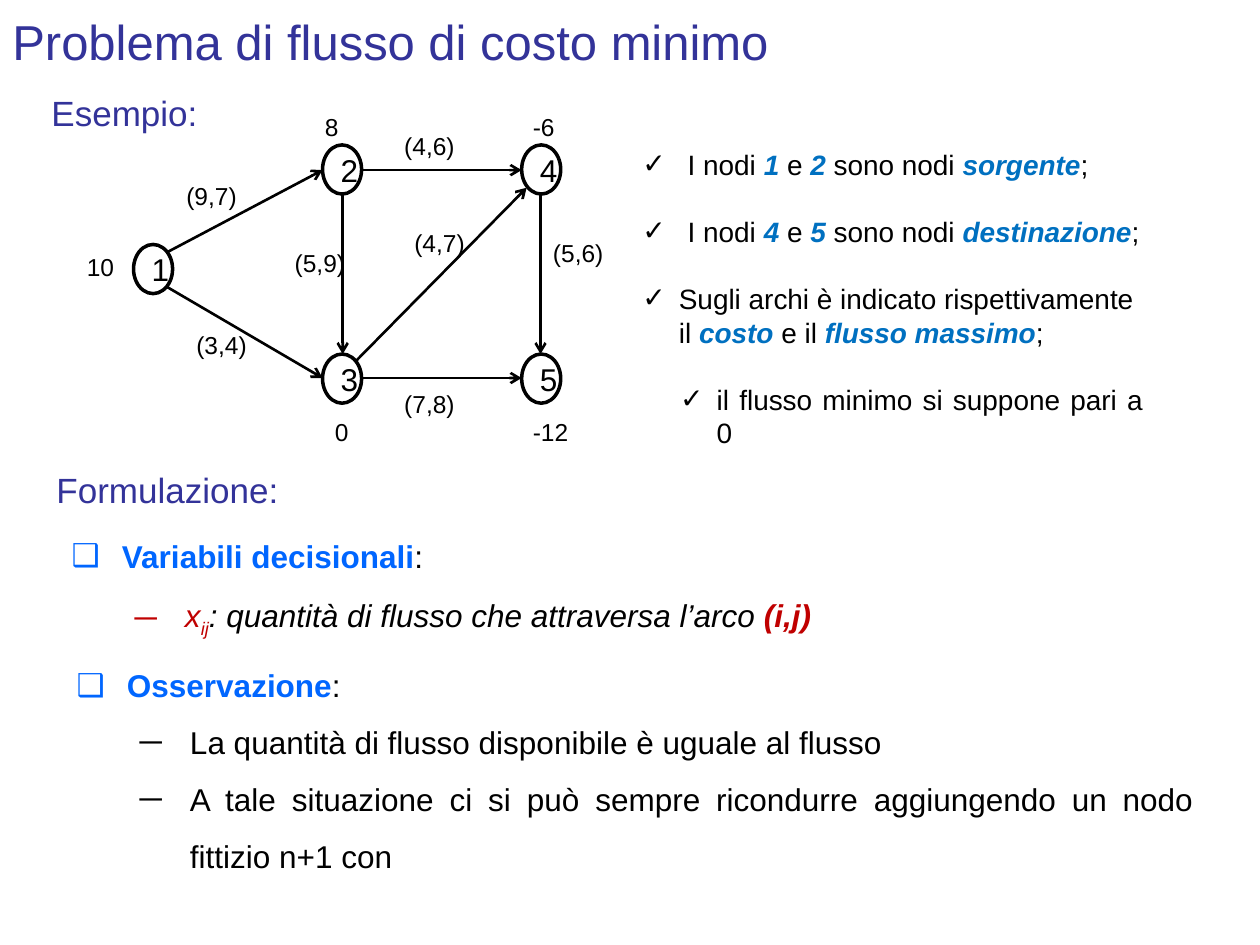
"""Build a slide on the minimum cost flow problem."""
from dataclasses import dataclass
from typing import NamedTuple

from lxml.etree import SubElement as Sub
from pptx import Presentation as Deck
from pptx.dml.color import RGBColor as Color
from pptx.enum.shapes import MSO_CONNECTOR as Link, MSO_SHAPE as Form
from pptx.enum.text import MSO_ANCHOR as Anchor, PP_ALIGN as Align
from pptx.oxml.ns import qn
from pptx.util import Inches, Pt


@dataclass(frozen=True)
class Theme:
    font: str = "Arial"
    ink: str = "000000"
    paper: str = "FFFFFF"
    head: str = "333399"
    key: str = "0070C0"
    topic: str = "0066FF"
    red: str = "C00000"
    title: int = 28
    sub: int = 20
    body: int = 18
    note: int = 16
    label: int = 14


T = Theme()


class Run(NamedTuple):
    text: str
    color: str = T.ink
    bold: bool = False
    slant: bool = False
    base: int = 0


class Item(NamedTuple):
    runs: list
    mark: str
    left: float
    hang: float
    level: int = 0
    align: Align = Align.JUSTIFY


class Node(NamedTuple):
    name: str
    x: float
    y: float


class Arc(NamedTuple):
    x1: float
    y1: float
    x2: float
    y2: float


class Label(NamedTuple):
    text: str
    x: float
    y: float


def style(run, size: int, look: Run) -> None:
    font = run.font
    font.name, font.size = T.font, Pt(size)
    font.bold, font.italic = look.bold, look.slant
    font.color.rgb = Color.from_string(look.color)
    if look.base:
        run._r.get_or_add_rPr().set("baseline", str(look.base * 1000))


def frame(slide, x: float, y: float, w: float, h: float):
    box = slide.shapes.add_textbox(Inches(x), Inches(y), Inches(w), Inches(h))
    box.text_frame.word_wrap = True
    return box.text_frame


def write(slide, text: str, x: float, y: float, w: float, h: float,
          size: int, color: str = T.ink):
    tf = frame(slide, x, y, w, h)
    tf.text = text
    style(tf.paragraphs[0].runs[0], size, Run(text, color))
    return tf


def draw_list(slide, items: list, x: float, y: float, w: float, h: float,
              size: int, line: float = 1, gap: float = 0) -> None:
    tf = frame(slide, x, y, w, h)
    for n, item in enumerate(items):
        para = tf.add_paragraph() if n else tf.paragraphs[0]
        para.alignment, para.level = item.align, item.level
        para.line_spacing = line
        if n and gap:
            para.space_before = Pt(gap)
        props = para._p.get_or_add_pPr()
        props.set("marL", str(Inches(item.left)))
        props.set("indent", str(-Inches(item.hang)))
        Sub(props, qn("a:buFont"), typeface=T.font)
        Sub(props, qn("a:buChar"), char=item.mark)
        for look in item.runs:
            run = para.add_run()
            run.text = look.text
            style(run, size, look)


def draw_node(slide, node: Node) -> None:
    oval = slide.shapes.add_shape(Form.OVAL, Inches(node.x), Inches(node.y),
                                  Inches(0.31), Inches(0.39))
    oval.shadow.inherit = False
    oval.fill.solid()
    oval.fill.fore_color.rgb = Color.from_string(T.paper)
    oval.line.color.rgb = Color.from_string(T.ink)
    oval.line.width = Pt(2)
    tf = oval.text_frame
    tf.word_wrap, tf.vertical_anchor = True, Anchor.MIDDLE
    tf.text = node.name
    para = tf.paragraphs[0]
    para.alignment = Align.CENTER
    style(para.runs[0], T.body, Run(node.name))


def draw_arc(slide, arc: Arc) -> None:
    line = slide.shapes.add_connector(Link.STRAIGHT, *map(Inches, arc))
    line.line.color.rgb = Color.from_string(T.ink)
    line.line.width = Pt(1.5)
    Sub(line.line._get_or_add_ln(), qn("a:tailEnd"), type="arrow")
    Sub(line._element.spPr, qn("a:effectLst"))


def key(text: str) -> Run:
    return Run(text, T.key, True, True)


def role(one: str, two: str, kind: str) -> Item:
    runs = [Run("I nodi "), key(one), Run(" e "), key(two),
            Run(" sono nodi "), key(kind), Run(";")]
    return Item(runs, "✓", 0.36, 0.36, align=Align.LEFT)


def topic(text: str) -> Item:
    return Item([Run(text, T.topic, True), Run(":")], "❑", 0.4, 0.4)


def point(*runs: Run) -> Item:
    return Item(list(runs), "─", 0.9, 0.4, 1)


COLS, ROWS = (1.06, 2.56, 4.14), (1.15, 1.94, 2.81)
NODES = [Node("1", COLS[0], ROWS[1]), Node("2", COLS[1], ROWS[0]),
         Node("3", COLS[1], ROWS[2]), Node("4", COLS[2], ROWS[0]),
         Node("5", COLS[2], ROWS[2])]
ARCS = [Arc(1.33, 2, 2.56, 1.35), Arc(1.33, 2.28, 2.56, 3),
        Arc(2.83, 2.86, 4.18, 1.49),
        *(Arc(2.87, y, 4.14, y) for y in (1.35, 3)),
        *(Arc(x, 1.55, x, 2.81) for x in (2.72, 4.29))]
LABELS = [Label("8", 2.48, 0.84), Label("-6", 4.13, 0.84),
          Label("10", 0.59, 1.95), Label("0", 2.56, 3.26),
          Label("-12", 4.13, 3.26), Label("(9,7)", 1.38, 1.39),
          Label("(3,4)", 1.46, 2.57), Label("(5,9)", 2.24, 1.92),
          Label("(4,6)", 3.11, 0.99), Label("(7,8)", 3.11, 3.04),
          Label("(4,7)", 3.19, 1.76), Label("(5,6)", 4.29, 1.84)]
NOTES = [role("1", "2", "sorgente"), role("4", "5", "destinazione"),
         Item([Run("Sugli archi è indicato rispettivamente il "),
               key("costo"), Run(" e il "), key("flusso massimo"), Run(";")],
              "✓", 0.29, 0.29, align=Align.LEFT),
         Item([Run("il flusso minimo si suppone pari a 0")], "✓", 0.59, 0.29)]
CHOICE = [topic("Variabili decisionali"),
          point(Run("x", T.red, slant=True),
                Run("ij", T.red, slant=True, base=-25),
                Run(": quantità di flusso che attraversa l’arco ", slant=True),
                Run("(i,j)", T.red, True, True))]
REMARK = [topic("Osservazione"),
          point(Run("La quantità di flusso disponibile è uguale al flusso")),
          point(Run("A tale situazione ci si può sempre ricondurre "
                    "aggiungendo un nodo fittizio n+1 con"))]


def main() -> None:
    deck = Deck()
    deck.slide_width, deck.slide_height = Inches(10), Inches(7.5)
    slide = deck.slides.add_slide(deck.slide_layouts[6])
    title = write(slide, "Problema di flusso di costo minimo",
                  0, -0.03, 9, 0.71, T.title, T.head)
    title.vertical_anchor = Anchor.MIDDLE
    write(slide, "Esempio:", 0.31, 0.68, 9.14, 0.47, T.sub, T.head)
    for arc in ARCS:
        draw_arc(slide, arc)
    for node in NODES:
        draw_node(slide, node)
    for text, x, y in LABELS:
        write(slide, text, x, y, 0.71, 0.34, T.label)
    draw_list(slide, NOTES, 5, 1.12, 4.17, 2.26, T.note, gap=19.2)
    write(slide, "Formulazione:", 0.35, 3.67, 9.14, 0.47, T.sub, T.head)
    draw_list(slide, CHOICE, 0.47, 4.06, 9.06, 1.01, T.body, 1.5)
    draw_list(slide, REMARK, 0.51, 5.09, 9.06, 1.92, T.body, 1.5)
    deck.save("out.pptx")


if __name__ == "__main__":
    main()
